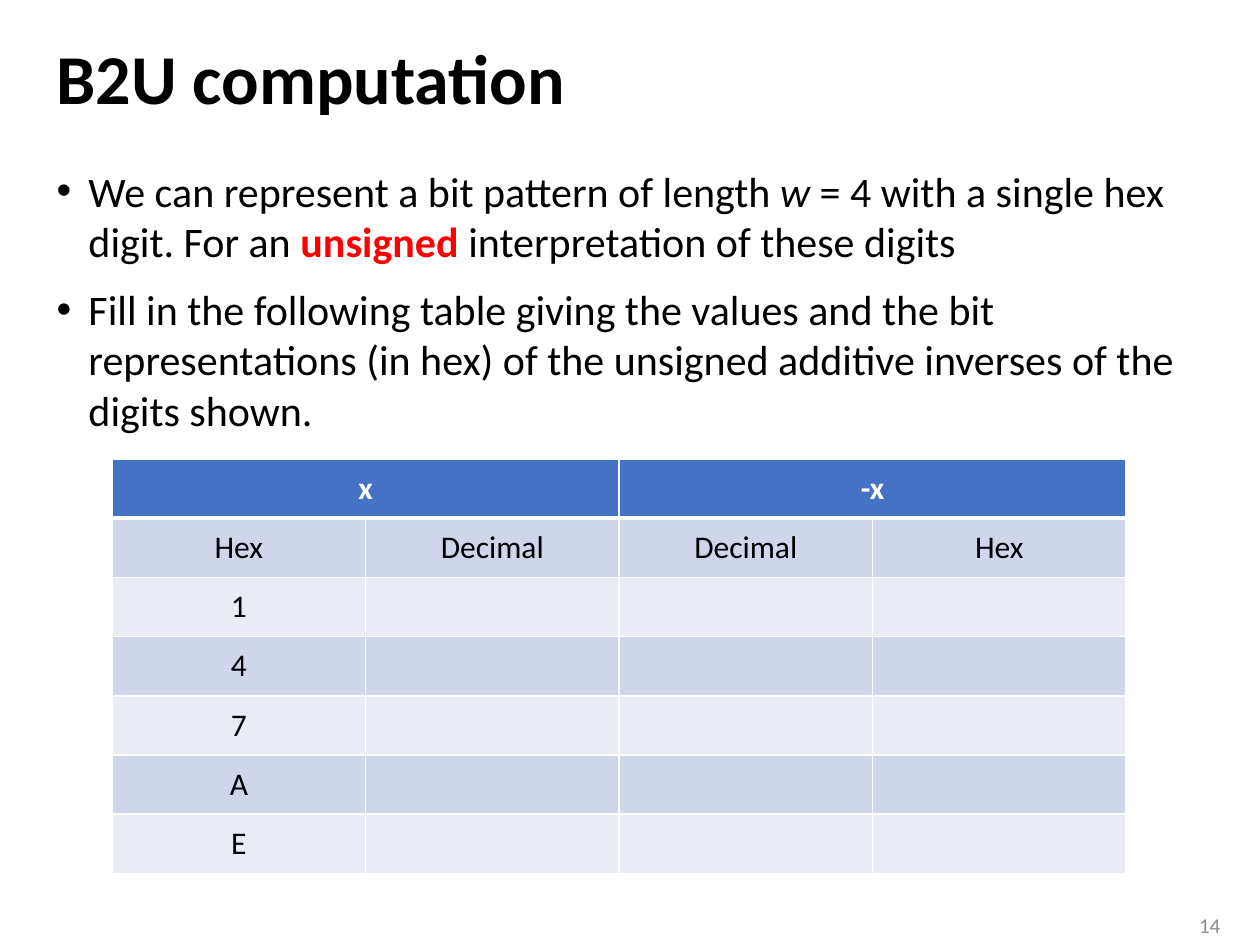
from dataclasses import dataclass

from lxml import etree
from pptx import Presentation
from pptx.dml.color import RGBColor
from pptx.enum.text import MSO_ANCHOR, MSO_AUTO_SIZE, PP_ALIGN
from pptx.oxml.ns import qn
from pptx.util import Cm, Pt

MIDDLE = MSO_ANCHOR.MIDDLE
LEFT, CENTER, RIGHT = PP_ALIGN.LEFT, PP_ALIGN.CENTER, PP_ALIGN.RIGHT
FIXED = MSO_AUTO_SIZE.NONE


@dataclass(frozen=True)
class Theme:
    font: str = "Calibri"
    black: str = "000000"
    white: str = "FFFFFF"
    red: str = "FF0000"
    grey: str = "8C8C8C"
    head: str = "4472C4"
    bands: tuple = ("E9EBF5", "CFD5EA")
    title: int = 40
    body: int = 24
    cell: int = 18
    small: int = 12


theme = Theme()


def style(font, size, color, bold=False):
    font.name, font.size, font.bold = theme.font, Pt(size), bold
    font.color.rgb = RGBColor.from_string(color)


def edge(cell, side, width):
    """Draw one white border; call in the order L, R, T, B, before the fill."""
    line = etree.SubElement(cell._tc.get_or_add_tcPr(), qn(f"a:ln{side}"), w=str(Pt(width)))
    fill = etree.SubElement(line, qn("a:solidFill"))
    etree.SubElement(fill, qn("a:srgbClr"), val=theme.white)


prs = Presentation()
prs.slide_width, prs.slide_height = Cm(25.4), Cm(19.05)
slide = prs.slides.add_slide(prs.slide_layouts[1])

# Title
title = slide.shapes.title
title.left, title.top, title.width, title.height = Cm(0.89), Cm(0.48), Cm(23.6), Cm(2.34)
frame = title.text_frame
frame.text = "B2U computation"
frame.auto_size, frame.vertical_anchor = FIXED, MIDDLE
para = frame.paragraphs[0]
para.alignment, para.line_spacing = LEFT, 0.9
style(para.font, theme.title, theme.black, True)

# Bullet list
body = slide.placeholders[1]
body.left, body.top, body.width, body.height = Cm(0.89), Cm(3.2), Cm(23.6), Cm(14.81)
frame = body.text_frame
frame.auto_size = FIXED
points = [
    ["We can represent a bit pattern of length ", "w ", "= 4 with a single hex digit. For an ",
     "unsigned", " interpretation of these digits"],
    ["Fill in the following table giving the values and the bit representations (in hex) "
     "of the unsigned additive inverses of the digits shown."],
]
for i, parts in enumerate(points):
    para = frame.add_paragraph() if i else frame.paragraphs[0]
    para.space_before = Pt(10 if i else 0)
    props = para._p.get_or_add_pPr()
    props.set("marL", str(Cm(0.64)))
    props.set("indent", str(Cm(-0.64)))
    etree.SubElement(props, qn("a:buFont"), typeface="Arial")
    etree.SubElement(props, qn("a:buChar"), char="•")
    style(para.font, theme.body, theme.black)
    for part in parts:
        run = para.add_run()
        run.text = part
        if part == "w ":
            run.font.italic = True
        elif part == "unsigned":
            style(run.font, theme.body, theme.red, True)

# Table of digits
rows = [["x", "", "-x", ""], ["Hex", "Decimal", "Decimal", "Hex"]]
rows += [[digit, "", "", ""] for digit in "147AE"]
table = slide.shapes.add_table(
    len(rows), 4, Cm(2.26), Cm(9.25), Cm(20.44), Cm(8.36)).table
for r, row in enumerate(rows):
    for c, text in enumerate(row):
        cell = table.cell(r, c)
        cell.text, cell.vertical_anchor = text, MIDDLE
        para = cell.text_frame.paragraphs[0]
        para.alignment = CENTER
        style(para.font, theme.cell, theme.black if r else theme.white, r == 0)
        for side in "LRTB":
            edge(cell, side, 3 if (r, side) in ((0, "B"), (1, "T")) else 1)
        cell.fill.solid()
        cell.fill.fore_color.rgb = RGBColor.from_string(theme.bands[r % 2] if r else theme.head)
for c in (0, 2):
    table.cell(0, c).merge(table.cell(0, c + 1))

# Page number
page = slide.shapes.add_textbox(Cm(23.55), Cm(18.26), Cm(1.3), Cm(0.79))
frame = page.text_frame
frame.text = "14"
frame.word_wrap, frame.vertical_anchor = True, MIDDLE
para = frame.paragraphs[0]
para.alignment = RIGHT
style(para.font, theme.small, theme.grey)

prs.save("out.pptx")
